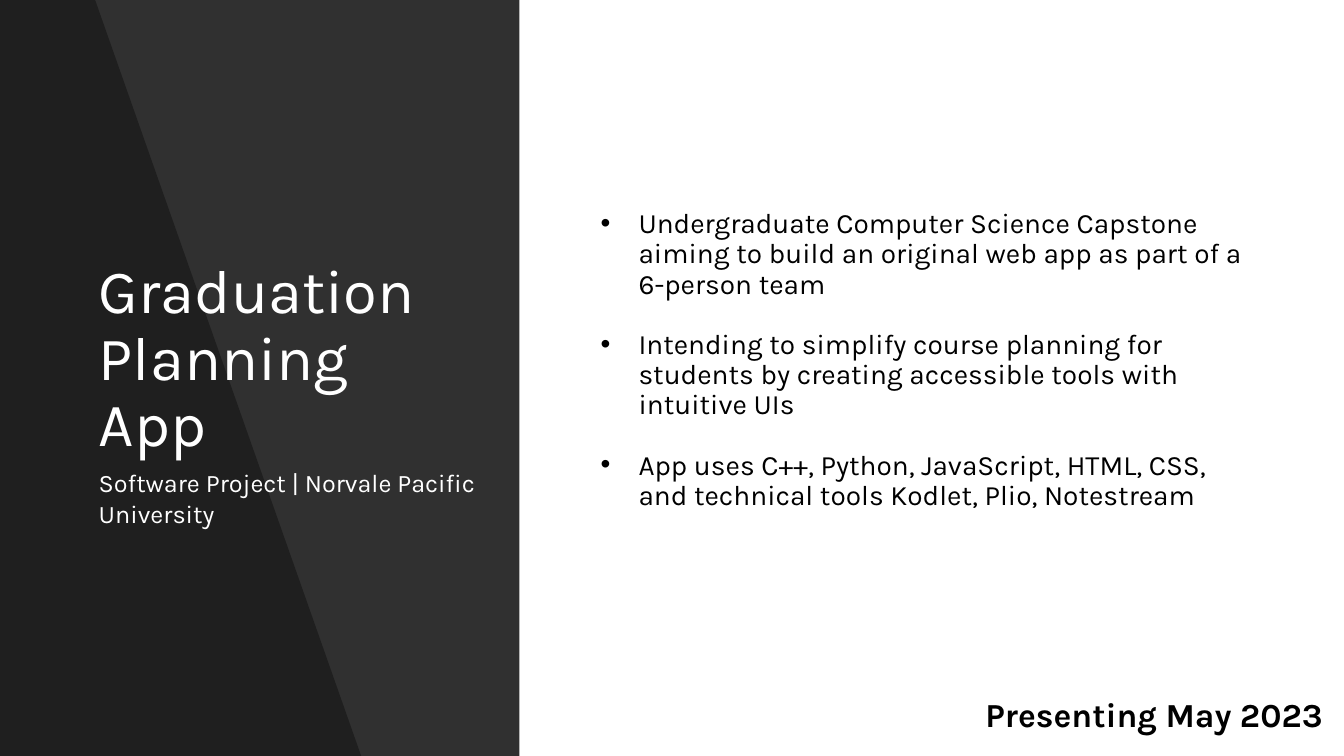
"""Build the opening slide for a graduation planning app project."""
from lxml.etree import SubElement
from pptx import Presentation
from pptx.dml.color import RGBColor
from pptx.enum.text import MSO_ANCHOR as Anchor, MSO_AUTO_SIZE as Auto, PP_ALIGN as Align
from pptx.oxml.ns import qn
from pptx.util import Pt


def paint(shape, color, alpha):
    shape.shadow.inherit = False
    shape.line.fill.background()
    shape.fill.solid()
    shape.fill.fore_color.rgb = RGBColor.from_string(color)
    tint = shape.fill._xPr.find(qn("a:solidFill"))[0]
    SubElement(tint, qn("a:alpha"), val=str(alpha * 1000))


def write(shape, lines, size, color, anchor=Anchor.TOP, align=Align.LEFT, bold=False):
    frame = shape.text_frame
    frame.text = "\n".join(lines)
    frame.word_wrap = True
    frame.auto_size = Auto.NONE
    frame.vertical_anchor = anchor
    for para in frame.paragraphs:
        para.alignment = align
        font = para.runs[0].font
        font.name, font.size, font.bold = "Karla", Pt(size), bold
        font.color.rgb = RGBColor.from_string(color)
    return frame.paragraphs


deck = Presentation()
deck.slide_width, deck.slide_height = Pt(960), Pt(540)
slide = deck.slides.add_slide(deck.slide_layouts[5])
shapes = slide.shapes

panel = shapes.add_shape(1, 0, 0, Pt(371), Pt(540))
paint(panel, "000000", 81)

pen = shapes.build_freeform(0, 0, scale=Pt(1))
pen.add_line_segments([(68.5, 0), (258.5, 540), (0, 540)], close=True)
wedge = pen.convert_to_shape()
paint(wedge, "000000", 35)

title = shapes.title
wedge._element.addnext(title._element)
title.left, title.top, title.width, title.height = Pt(63.4), Pt(50.4), Pt(258.5), Pt(414)
head = write(title, ["Graduation Planning App"], 44, "FFFFFF", Anchor.MIDDLE)
head[0].line_spacing = 0.9

body = shapes.add_textbox(Pt(422), Pt(50.4), Pt(474.5), Pt(414))
points = [
    "Undergraduate Computer Science Capstone aiming to build an original web app as part of a 6-person team",
    "Intending to simplify course planning for students by creating accessible tools with intuitive UIs",
    "App uses C++, Python, JavaScript, HTML, CSS, and technical tools Kodlet, Plio, Notestream",
]
for i, para in enumerate(write(body, points, 20, "000000", Anchor.MIDDLE)):
    para.line_spacing = 0.9
    para.space_before = Pt(21.5 if i else 0)
    props = para._p.get_or_add_pPr()
    props.set("marL", str(Pt(27)))
    props.set("indent", str(-Pt(27)))
    SubElement(props, qn("a:buFont"), typeface="Arial")
    SubElement(props, qn("a:buChar"), char="•")

school = shapes.add_textbox(Pt(63.4), Pt(330.5), Pt(284.4), Pt(51))
write(school, ["Software Project | Norvale Pacific University"], 18, "FFFFFF")

date = shapes.add_textbox(Pt(658.8), Pt(492.2), Pt(293.2), Pt(36))
write(date, ["Presenting May 2023"], 24, "000000", align=Align.RIGHT, bold=True)

deck.save("out.pptx")
